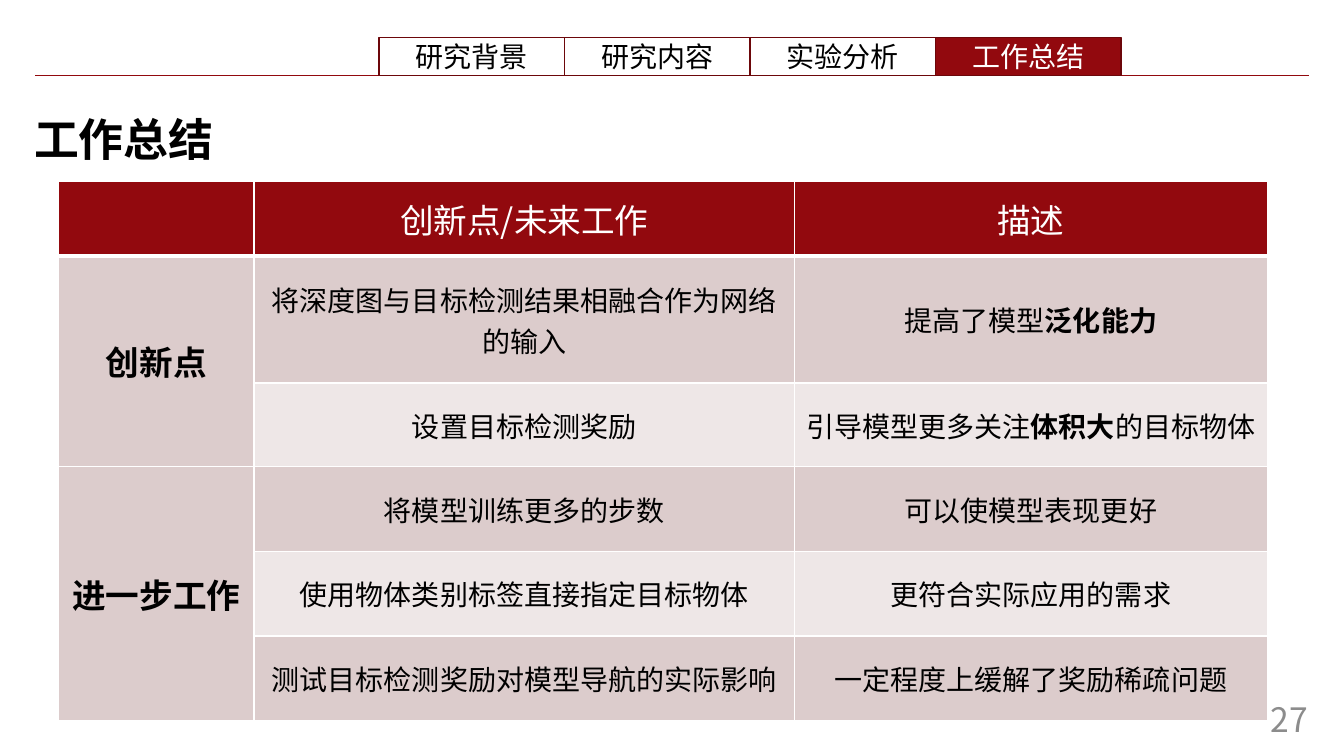
from pptx import Presentation
from pptx.dml.color import RGBColor
from pptx.enum.shapes import MSO_CONNECTOR as Connector, MSO_SHAPE as Shape
from pptx.enum.text import MSO_ANCHOR as Anchor, PP_ALIGN as Align
from pptx.oxml.ns import qn
from pptx.util import Inches, Pt
from lxml.etree import SubElement

FONT = "Noto Sans CJK SC"
COLORS = {
    "red": "92090E", "dark_red": "6C070A", "band": "DCCCCC", "light_band": "EEE7E7",
    "white": "FFFFFF", "black": "000000", "gray": "8C8C8C",
}
TABS = ["研究背景", "研究内容", "实验分析", "工作总结"]
COLUMN_WIDTHS = [1.94, 5.36, 4.69]
ROW_HEIGHTS = [0.74, 1.26, 0.83, 0.84, 0.84, 0.84]
# Text between bars is bold.
ROWS = [
    ["", "创新点/未来工作", "描述"],
    ["|创新点|", "将深度图与目标检测结果相融合作为网络的输入", "提高了模型|泛化能力|"],
    ["", "设置目标检测奖励", "引导模型更多关注|体积大|的目标物体"],
    ["|进一步工作|", "将模型训练更多的步数", "可以使模型表现更好"],
    ["", "使用物体类别标签直接指定目标物体", "更符合实际应用的需求"],
    ["", "测试目标检测奖励对模型导航的实际影响", "一定程度上缓解了奖励稀疏问题"],
]
MERGED_ROWS = [(1, 2), (3, 5)]


def color(name):
    return RGBColor.from_string(COLORS[name])


class SlideBuilder:
    def __init__(self, page):
        self.page = page

    def fill_text(self, frame, text, size, ink, align=Align.CENTER):
        """Fill the frame with one paragraph, with the text between bars in bold."""
        para = frame.paragraphs[0]
        para.alignment = align
        for index, part in enumerate(text.split("|")):
            if not part:
                continue
            span = para.add_run()
            span.text = part
            span.font.name = FONT
            span.font.size = Pt(size)
            span.font.bold = index % 2 == 1
            span.font.color.rgb = color(ink)
            SubElement(span.font._element, qn("a:ea"), typeface=FONT)

    def rule(self, left, right, top):
        line = self.page.shapes.add_connector(
            Connector.STRAIGHT, Inches(left), Inches(top), Inches(right), Inches(top))
        line.line.color.rgb = color("red")
        line.line.width = Pt(0.5)
        SubElement(line._element.spPr, qn("a:effectLst"))

    def tab(self, left, top, width, height, label, active):
        box = self.page.shapes.add_shape(
            Shape.RECTANGLE, Inches(left), Inches(top), Inches(width), Inches(height))
        box.shadow.inherit = False
        box.line.color.rgb = color("dark_red")
        box.line.width = Pt(1)
        if active:
            box.fill.solid()
            box.fill.fore_color.rgb = color("red")
        else:
            box.fill.background()
        box.text_frame.vertical_anchor = Anchor.MIDDLE
        self.fill_text(box.text_frame, label, 20, "white" if active else "black")

    def text(self, left, top, width, height, text, size, ink, align, anchor):
        box = self.page.shapes.add_textbox(
            Inches(left), Inches(top), Inches(width), Inches(height))
        box.text_frame.word_wrap = True
        box.text_frame.vertical_anchor = anchor
        self.fill_text(box.text_frame, text, size, ink, align)

    def border(self, cell, bottom):
        """Draw white cell borders, with the given bottom width in points."""
        properties = cell._tc.get_or_add_tcPr()
        for tag, width in [("lnL", 1), ("lnR", 1), ("lnT", 1), ("lnB", bottom)]:
            edge = SubElement(properties, qn(f"a:{tag}"), w=str(Pt(width)))
            fill = SubElement(edge, qn("a:solidFill"))
            SubElement(fill, qn("a:srgbClr"), val=COLORS["white"])

    def table(self, left, top):
        frame = self.page.shapes.add_table(
            len(ROWS), len(COLUMN_WIDTHS), Inches(left), Inches(top),
            Inches(sum(COLUMN_WIDTHS)), Inches(sum(ROW_HEIGHTS)))
        table = frame.table
        for column, width in zip(table.columns, COLUMN_WIDTHS):
            column.width = Inches(width)
        for row, height in zip(table.rows, ROW_HEIGHTS):
            row.height = Inches(height)
        for first, last in MERGED_ROWS:
            table.cell(first, 0).merge(table.cell(last, 0))
        for row, texts in enumerate(ROWS):
            header = row == 0
            for column, text in enumerate(texts):
                cell = table.cell(row, column)
                self.border(cell, 3 if header else 1)
                cell.fill.solid()
                banded = column == 0 or row % 2 == 1
                fill = "red" if header else "band" if banded else "light_band"
                cell.fill.fore_color.rgb = color(fill)
                cell.vertical_anchor = Anchor.MIDDLE
                size = 24 if header or column == 0 else 20
                self.fill_text(cell.text_frame, text, size, "white" if header else "black")


def main():
    deck = Presentation()
    deck.slide_width, deck.slide_height = Inches(13.33), Inches(7.5)
    builder = SlideBuilder(deck.slides.add_slide(deck.slide_layouts[6]))
    builder.rule(0.35, 12.98, 0.75)
    for index, label in enumerate(TABS):
        builder.tab(3.76 + index * 1.84, 0.37, 1.84, 0.38, label, label == TABS[-1])
    builder.text(0.24, 1.06, 5.1, 0.64, "|工作总结|", 32, "black", Align.LEFT, Anchor.TOP)
    builder.text(10.07, 6.93, 3, 0.4, "27", 24, "gray", Align.RIGHT, Anchor.MIDDLE)
    builder.table(0.58, 1.8)
    deck.save("out.pptx")


if __name__ == "__main__":
    main()
